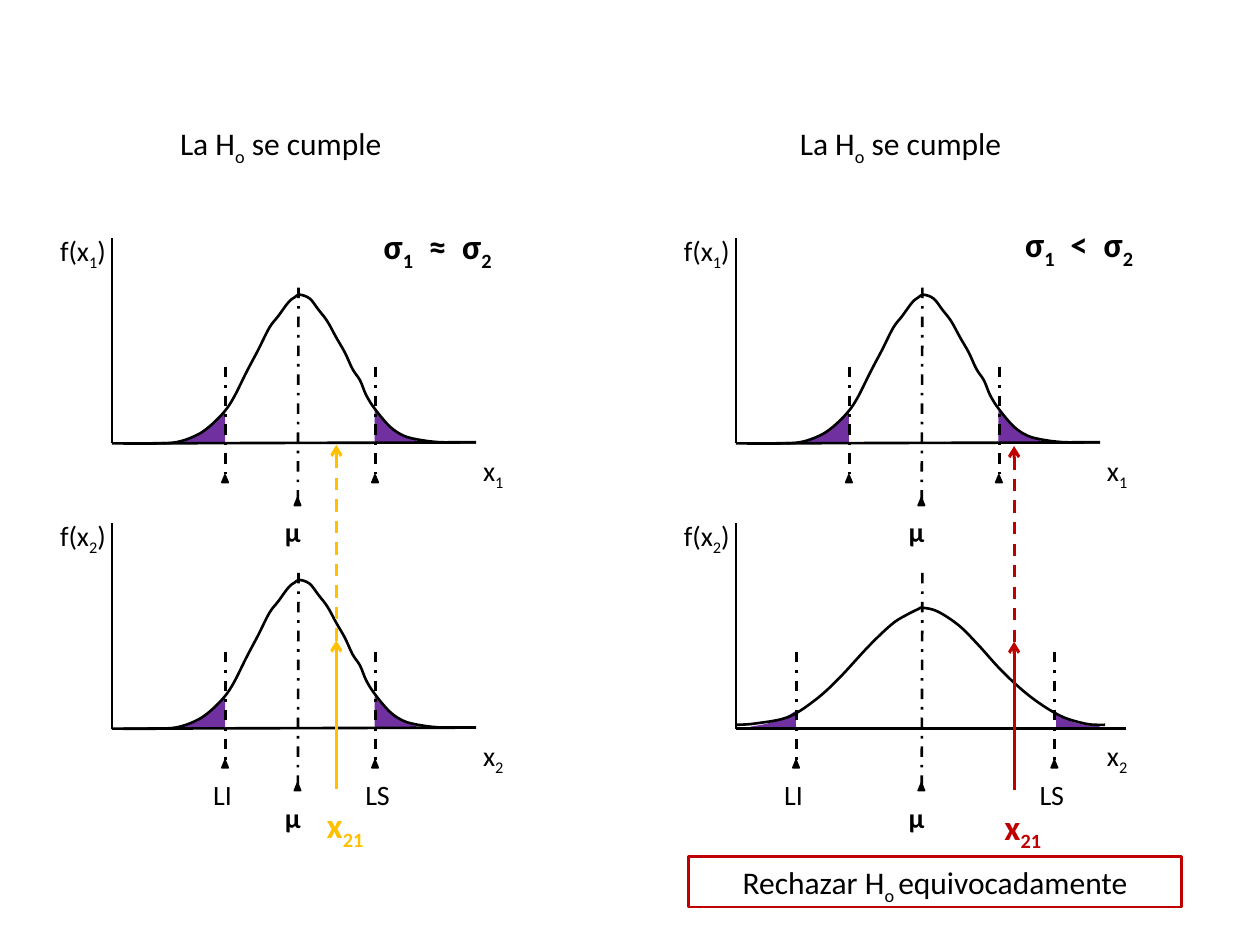
"""Build a slide comparing sampling distributions when the null hypothesis holds."""
from dataclasses import dataclass

from lxml.etree import SubElement
from pptx import Presentation
from pptx.dml.color import RGBColor
from pptx.enum.dml import MSO_LINE
from pptx.enum.shapes import MSO_CONNECTOR, MSO_SHAPE
from pptx.enum.text import MSO_ANCHOR, PP_ALIGN
from pptx.oxml.ns import qn
from pptx.util import Pt


@dataclass(frozen=True)
class Theme:
    """Colours, font and sizes of the slide."""
    font: str = "Calibri"
    ink: RGBColor = RGBColor(0, 0, 0)
    tail: RGBColor = RGBColor(0x70, 0x30, 0xA0)
    accept: RGBColor = RGBColor(0xFF, 0xC0, 0x00)
    reject: RGBColor = RGBColor(0xC0, 0x00, 0x00)
    label: int = 16
    title: int = 18
    symbol: int = 20
    stroke: float = 1.5
    arrow: float = 1.75


@dataclass(frozen=True)
class Curve:
    """Bell outline, shaded tails and limits, measured from the axis corner."""
    bell: tuple
    tails: tuple
    limits: tuple
    axis_width: float
    axis_rise: float
    label_lefts: tuple


THEME = Theme()
NARROW = Curve(
    bell=((6.5, 0), (14.4, 0), (24.5, 0), (36.7, 0.7), (47.5, 4.3), (55.4, 9.4),
          (64.1, 18), (69.8, 26.6), (77, 41), (83.5, 53.3), (90, 66.2), (95, 72.7),
          (100.8, 80.6), (104.4, 83.5), (107.3, 85), (113, 82.8), (118.1, 76.3),
          (123.1, 69.8), (128.2, 60.5), (133.2, 51.8), (137.5, 42.5), (141.8, 36),
          (145.4, 27.4), (150.5, 19.4), (159.1, 9.4), (167, 4.3), (175, 2.2),
          (180, 1.4), (187.9, 0.7), (196.6, 0.7), (208.1, 0.7)),
    tails=(((64.1, 18), (64.1, 0.7), (41, 0.7), (49, 3.6), (55.4, 7.9), (60.5, 13)),
           ((150.5, 18), (150.5, 1.4), (173.5, 1.4), (165.6, 4.3), (159.8, 7.9),
            (154.8, 13))),
    limits=(64.8, 150.5), axis_width=208, axis_rise=0.6, label_lefts=(43.2, 131.8))
WIDE = Curve(
    bell=((0.7, 2.2), (10.8, 2.9), (29.5, 6.5), (44.6, 15.8), (58.3, 28.1),
          (76.3, 47.5), (89.3, 59.8), (97.2, 64.8), (104.4, 68.4), (106.6, 69.1),
          (115.2, 67), (127.4, 59), (138.2, 48.2), (151.2, 33.8), (164.2, 21.6),
          (175.7, 13), (187.2, 6.5), (199.4, 2.9), (205.9, 2.2), (211, 2.2)),
    tails=(((33.8, 9.4), (33.8, 0.7), (8.6, 0.7), (17.3, 2.2), (23.8, 4.3), (29.5, 6.5)),
           ((183.6, 7.9), (183.6, 0), (207.4, 0), (207.4, 1.4), (201, 1.4),
            (193.7, 2.9), (188.6, 5))),
    limits=(34.6, 182.2), axis_width=223.2, axis_rise=0, label_lefts=(13, 160.6))


def write(box, text, size, color, bold=False, align=PP_ALIGN.CENTER):
    """Fill a box with one line in which every second part between bars is subscript."""
    box.text_frame.word_wrap = True
    box.text_frame.vertical_anchor = MSO_ANCHOR.TOP
    para = box.text_frame.paragraphs[0]
    para.alignment = align
    para.font.name, para.font.size, para.font.bold = THEME.font, Pt(size), bold
    para.font.color.rgb = color
    for index, part in enumerate(text.split("|")):
        if part:
            span = para.add_run()
            span.text = part
            if index % 2:
                span.font._element.set("baseline", "-25000")


def add_text(page, text, left, top, width, height, size=THEME.label,
             color=THEME.ink, bold=False, align=PP_ALIGN.CENTER):
    """Add a text box."""
    box = page.shapes.add_textbox(Pt(left), Pt(top), Pt(width), Pt(height))
    write(box, text, size, color, bold, align)


def add_line(page, start, end, color=THEME.ink, width=THEME.stroke, dash=None, arrow=False):
    """Add a straight line, with an optional arrowhead at its start."""
    line = page.shapes.add_connector(
        MSO_CONNECTOR.STRAIGHT, *(Pt(value) for value in (*start, *end)))
    line.line.color.rgb = color
    line.line.width = Pt(width)
    if dash:
        line.line.dash_style = dash
    properties = line._element.spPr
    if arrow:
        SubElement(properties.find(qn("a:ln")), qn("a:headEnd"), type="arrow")
    SubElement(properties, qn("a:effectLst"))


def paint(shape, fill, color, width):
    """Set the fill and outline of a shape and remove its shadow."""
    shape.shadow.inherit = False
    if fill is None:
        shape.fill.background()
    else:
        shape.fill.solid()
        shape.fill.fore_color.rgb = fill
    shape.line.color.rgb = color
    shape.line.width = Pt(width)


def add_outline(page, origin, points, closed):
    """Add straight segments through points measured from the origin."""
    placed = [(Pt(origin[0] + x), Pt(origin[1] - y)) for x, y in points]
    builder = page.shapes.build_freeform(*placed[0], scale=1.0)
    builder.add_line_segments(placed[1:], close=closed)
    return builder.convert_to_shape()


def bend(shape):
    """Turn the straight segments of an open outline into smooth Bézier curves."""
    nodes = list(shape._element.iter(qn("a:pt")))
    spots = [(int(node.get("x")), int(node.get("y"))) for node in nodes]
    padded = [spots[0], *spots, spots[-1]]
    quads = zip(padded, padded[1:], padded[2:], padded[3:])
    for node, (before, start, end, after) in zip(nodes[1:], quads):
        segment = node.getparent()
        segment.tag = qn("a:cubicBezTo")
        controls = ([s + (e - b) / 6 for b, s, e in zip(before, start, end)],
                    [e - (a - s) / 6 for s, e, a in zip(start, end, after)])
        for index, (x, y) in enumerate(controls):
            control = SubElement(segment, qn("a:pt"), x=str(round(x)), y=str(round(y)))
            segment.insert(index, control)


def add_marker(page, x, top, bottom, tilt=0):
    """Add a dash-dot line with a small triangle near its foot."""
    add_line(page, (x + tilt, top), (x, bottom), dash=MSO_LINE.DASH_DOT)
    triangle = page.shapes.add_shape(
        MSO_SHAPE.ISOSCELES_TRIANGLE, Pt(x - 2), Pt(bottom - 3.4), Pt(3.6), Pt(4.3))
    paint(triangle, THEME.ink, THEME.ink, 1)


def add_distribution(page, origin, number, curve, limit_names=()):
    """Add a distribution with axes, tails, mean, limits and labels."""
    x, y = origin
    for tail in curve.tails:
        paint(add_outline(page, origin, tail, True), THEME.tail, THEME.tail, 1)
    bell = add_outline(page, origin, curve.bell, False)
    bend(bell)
    paint(bell, None, THEME.ink, THEME.stroke)
    add_line(page, (x, y - 117.5), origin)
    add_line(page, origin, (x + curve.axis_width, y - curve.axis_rise))
    add_marker(page, x + 106.2, y - 89, y + 34.5, tilt=0.4)
    for limit in curve.limits:
        add_marker(page, x + limit, y - 43.9, y + 21.4)
    add_text(page, f"f(x|{number}|)", x - 41.5, y - 123.6, 49.7, 22.7)
    add_text(page, f"x|{number}|", x + 199.5, y + 2.3, 36.7, 22.7)
    add_text(page, "μ ", x + 88.2, y + 37.3, 33.8, 22.7, bold=True)
    for name, left in zip(limit_names, curve.label_lefts):
        add_text(page, name, x + left, y + 24.6, 43.5, 22.7)


def add_observation(page, x, top, color):
    """Add the arrows of an observed value and its label."""
    add_line(page, (x, top), (x, top + 124.5), color, THEME.arrow, MSO_LINE.DASH, True)
    add_line(page, (x, top + 111.8), (x, top + 196.8), color, THEME.arrow, arrow=True)
    add_text(page, "x|21|", x - 18, top + 201.6, 46, 31.7, THEME.symbol, color, True)


def main():
    """Build and save the slide."""
    deck = Presentation()
    deck.slide_width, deck.slide_height = Pt(720), Pt(540)
    page = deck.slides.add_slide(deck.slide_layouts[6])
    cases = (
        (64, 253.4, 95.8, NARROW, 192.2, 254.2, THEME.accept),
        (420.5, 253.4, 450, WIDE, 579.5, 254.9, THEME.reject),
    )
    for x, y, title_left, lower, observed, arrow_top, color in cases:
        add_text(page, "La H|o| se cumple", title_left, 67.4, 146.2, 28.8,
                 THEME.title, align=PP_ALIGN.LEFT)
        add_distribution(page, (x, y), 1, NARROW)
        add_distribution(page, (x, y + 163), 2, lower, ("LI ", "LS "))
        add_observation(page, observed, arrow_top, color)
    for sign, left, top, width in (("≈", 196.8, 124.6, 106.6), ("<", 565.9, 123.8, 101.5)):
        add_text(page, f"σ|1|  {sign}  σ|2|", left, top, width, 31.7, THEME.symbol, bold=True)
    verdict = page.shapes.add_shape(
        MSO_SHAPE.RECTANGLE, Pt(393.6), Pt(489.6), Pt(281.5), Pt(28.8))
    paint(verdict, None, THEME.reject, THEME.stroke)
    write(verdict, "Rechazar H|o |equivocadamente", THEME.title, THEME.ink)
    deck.save("out.pptx")


if __name__ == "__main__":
    main()
